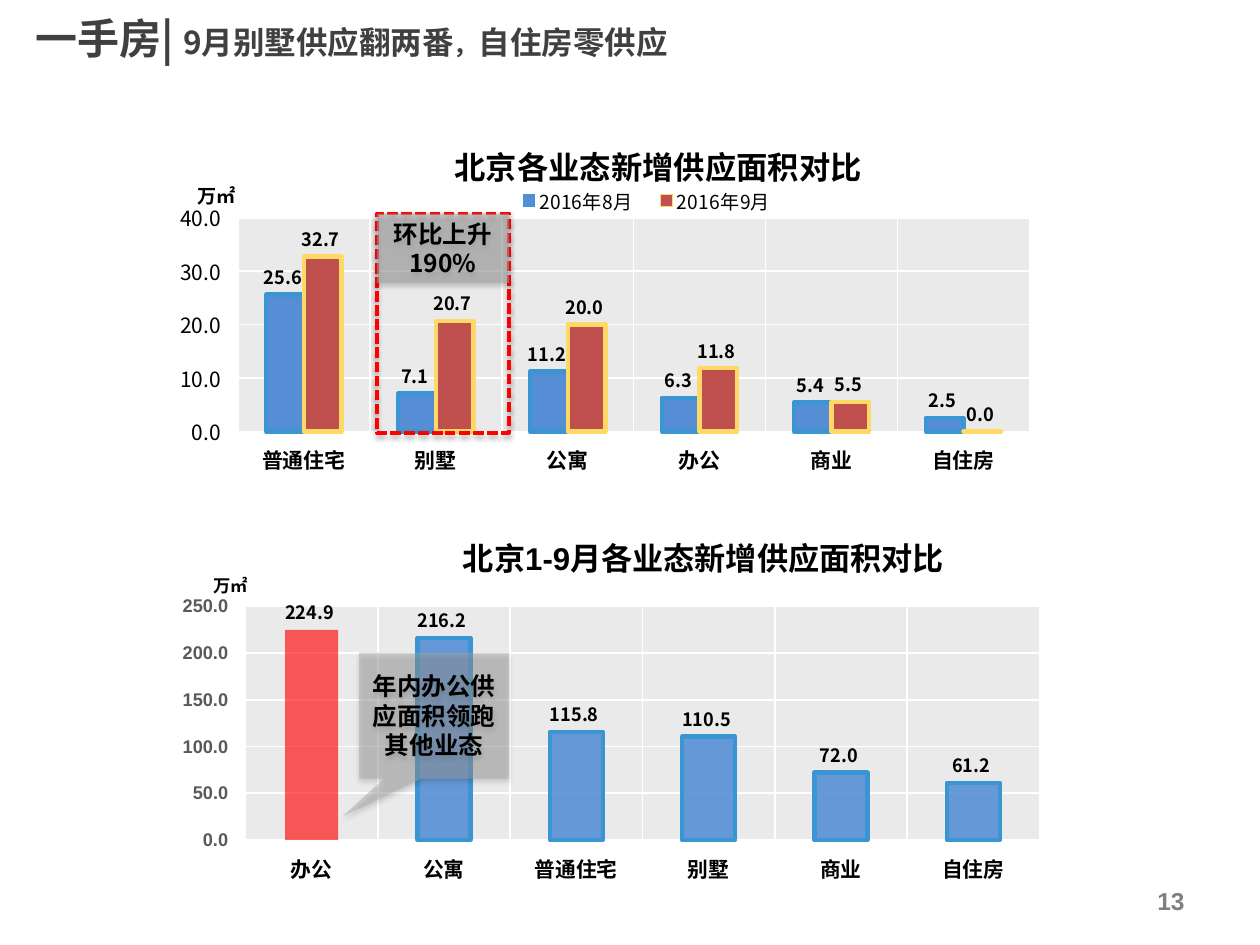
from lxml import etree
from pptx import Presentation
from pptx.chart.data import CategoryChartData
from pptx.dml.color import RGBColor
from pptx.enum.chart import XL_CHART_TYPE, XL_LABEL_POSITION, XL_LEGEND_POSITION, XL_TICK_MARK
from pptx.enum.dml import MSO_LINE
from pptx.enum.shapes import MSO_SHAPE
from pptx.enum.text import MSO_ANCHOR, PP_ALIGN
from pptx.oxml.ns import qn
from pptx.util import Pt

COLUMNS = XL_CHART_TYPE.COLUMN_CLUSTERED
OUTSIDE_END = XL_LABEL_POSITION.OUTSIDE_END
LEGEND_BOTTOM = XL_LEGEND_POSITION.BOTTOM
TICK_OUT = XL_TICK_MARK.OUTSIDE
SHORT_DASH = MSO_LINE.SQUARE_DOT
RECTANGLE = MSO_SHAPE.RECTANGLE
CALLOUT = MSO_SHAPE.RECTANGULAR_CALLOUT
MIDDLE = MSO_ANCHOR.MIDDLE
LEFT, CENTER, RIGHT = PP_ALIGN.LEFT, PP_ALIGN.CENTER, PP_ALIGN.RIGHT
CJK, LATIN = "Noto Sans CJK SC", "Arial"
NUMBER_FORMAT = "0.0_ "


def color(hex_value):
    """Return the colour for a hex string."""
    return RGBColor.from_string(hex_value)


def style_font(font, size, hex_value, name=CJK, bold=True):
    """Set the look of a font."""
    font.size, font.bold, font.name = Pt(size), bold, name
    font.color.rgb = color(hex_value)


def add_east_asian_fonts(root):
    """Name the Chinese font beside each Latin one."""
    for latin in list(root.iter(qn("a:latin"))):
        east_asian = etree.Element(qn("a:ea"), typeface=CJK)
        latin.addnext(east_asian)


def add_run(paragraph, text, size, hex_value, name=CJK):
    """Add one bold run."""
    run = paragraph.add_run()
    run.text = text
    style_font(run.font, size, hex_value, name)


def set_fill(format_, hex_value):
    """Give a solid fill."""
    format_.fill.solid()
    format_.fill.fore_color.rgb = color(hex_value)


def set_line(line, hex_value, width):
    """Give a solid line."""
    line.color.rgb = color(hex_value)
    line.width = Pt(width)


def set_opacity(properties, percent):
    """Set the opacity of the solid fill in a set of shape properties."""
    fill_color = properties.find(qn("a:solidFill")).find(qn("a:srgbClr"))
    etree.SubElement(fill_color, qn("a:alpha"), val=str(percent * 1000))


def set_shadow(shape):
    """Give a soft shadow below the shape."""
    shape.shadow.inherit = False
    effects = shape.element.spPr.find(qn("a:effectLst"))
    shadow = etree.SubElement(effects, qn("a:outerShdw"), blurRad=str(Pt(3.1)),
                              dist=str(Pt(1.8)), dir="5400000", rotWithShape="0")
    shade = etree.SubElement(shadow, qn("a:srgbClr"), val="000000")
    etree.SubElement(shade, qn("a:alpha"), val="35000")


def set_layout(element, index, inner=False, **fractions):
    """Place a chart part by fractions of the chart."""
    for old in element.findall(qn("c:layout")):
        element.remove(old)
    layout = etree.Element(qn("c:layout"))
    element.insert(index, layout)
    manual = etree.SubElement(layout, qn("c:manualLayout"))
    if inner:
        etree.SubElement(manual, qn("c:layoutTarget"), val="inner")
    for key in ("x", "y"):
        etree.SubElement(manual, qn(f"c:{key}Mode"), val="edge")
    for key, value in fractions.items():
        etree.SubElement(manual, qn(f"c:{key}"), val=str(value))


def write_chart_title(title, text, size, name, x, y):
    """Write and place a chart or axis title."""
    add_run(title.text_frame.paragraphs[0], text, size, "000000", name)
    for body in title._element.iter(qn("a:bodyPr")):
        body.set("rot", "0")
        body.set("vert", "horz")
    set_layout(title._element, 1, x=x, y=y)


def style_axis(axis, size, hex_value, name, bold):
    """Set ticks, labels and gridlines of an axis."""
    axis.major_tick_mark = TICK_OUT
    axis.has_major_gridlines = True
    set_line(axis.major_gridlines.format.line, "FFFFFF", 1)
    style_font(axis.tick_labels.font, size, hex_value, name, bold)


def add_supply_chart(slide, box, categories, series, title, title_at, unit_size, unit_at,
                     plot, name, value_font, maximum, step):
    """Add a column chart of supply area; each series is name, values, fill, line."""
    data = CategoryChartData(number_format=NUMBER_FORMAT)
    data.categories = categories
    for label, values, _, _ in series:
        data.add_series(label, values)
    chart = slide.shapes.add_chart(COLUMNS, *map(Pt, box), data).chart
    style_font(chart.font, 10, "000000", name, False)
    chart.has_legend = False
    chart.has_title = True
    write_chart_title(chart.chart_title, title, 18, name, *title_at)

    category_axis, value_axis = chart.category_axis, chart.value_axis
    style_axis(category_axis, 12, "000000", name, True)
    set_line(category_axis.format.line, "FFFFFF", 0.75)
    style_axis(value_axis, *value_font)
    value_axis.format.line.fill.background()
    value_axis.minimum_scale, value_axis.maximum_scale = 0, maximum
    value_axis.major_unit = step
    value_axis.tick_labels.number_format = NUMBER_FORMAT
    value_axis.tick_labels.number_format_is_linked = False
    write_chart_title(value_axis.axis_title, "万㎡", unit_size, name, *unit_at)

    columns = chart.plots[0]
    columns.gap_width, columns.overlap, columns.vary_by_categories = 150, 0, False
    for column, (_, _, fill, outline) in zip(columns.series, series):
        column.invert_if_negative = False
        set_fill(column.format, fill)
        set_line(column.format.line, outline, 2.5)
        labels = column.data_labels
        labels.show_value, labels.position = True, OUTSIDE_END
        labels.number_format, labels.number_format_is_linked = NUMBER_FORMAT, False
        style_font(labels.font, 10.5, "000000")

    plot_area = chart.element.find(qn("c:chart")).find(qn("c:plotArea"))
    set_layout(plot_area, 0, True, **dict(zip("xywh", plot)))
    background = etree.SubElement(plot_area, qn("c:spPr"))
    fill = etree.SubElement(background, qn("a:solidFill"))
    etree.SubElement(fill, qn("a:srgbClr"), val="EAEAEA")
    return chart


def add_note(slide, kind, box, text, opacity):
    """Add a translucent grey note with a shadow."""
    note = slide.shapes.add_shape(kind, *map(Pt, box))
    set_fill(note, "A6A6A6")
    set_opacity(note.element.spPr, opacity)
    note.line.fill.background()
    set_shadow(note)
    frame = note.text_frame
    frame.word_wrap, frame.vertical_anchor = True, MIDDLE
    frame.paragraphs[0].alignment = CENTER
    add_run(frame.paragraphs[0], text, 14, "000000")
    add_east_asian_fonts(note.element)
    return note


def add_monthly_region(slide, left, top, width, height):
    """Compare August and September supply."""
    chart = add_supply_chart(
        slide, (left, top, width, height),
        ["普通住宅", "别墅", "公寓", "办公", "商业", "自住房"],
        [("2016年8月", [25.6, 7.1, 11.2, 6.3, 5.4, 2.5], "558ED5", "3B95D2"),
         ("2016年9月", [32.7, 20.7, 20, 11.8, 5.5, 0], "C0504D", "FFD966")],
        "北京各业态新增供应面积对比", (0.3, 0.04), 11, (0.01, 0.15),
        (0.06, 0.26, 0.9, 0.56), CJK, (12, "000000", CJK, False), 40, 10)
    chart.has_legend = True
    legend = chart.legend
    legend.position, legend.include_in_layout = LEGEND_BOTTOM, False
    style_font(legend.font, 11, "000000", CJK, False)
    set_layout(legend._element, 1, x=0.36, y=0.17, w=0.33, h=0.09)
    add_east_asian_fonts(chart.element)

    villa_left, villa_top, villa_width = left + 112.3, top + 54.4, 75.6
    highlight = slide.shapes.add_shape(
        RECTANGLE, *map(Pt, (villa_left, villa_top, villa_width, 125.3)))
    highlight.fill.background()
    set_line(highlight.line, "FF0000", 2)
    highlight.line.dash_style = SHORT_DASH
    set_shadow(highlight)
    add_note(slide, RECTANGLE, (villa_left, villa_top, villa_width, 39.6), "环比上升 190%", 55)


def add_year_region(slide, left, top, width, height):
    """Rank the supply from January to September."""
    chart = add_supply_chart(
        slide, (left, top, width, height),
        ["办公", "公寓", "普通住宅", "别墅", "商业", "自住房"],
        [("Series 1", [224.9, 216.2, 115.8, 110.5, 72, 61.2], "558ED5", "3B95D2")],
        "北京1-9月各业态新增供应面积对比", (0.3, 0.05), 10, (0.02, 0.16),
        (0.06, 0.26, 0.9, 0.6), LATIN, (10.5, "595959", LATIN, True), 250, 50)
    supply = chart.plots[0].series[0]
    set_opacity(supply._element.find(qn("c:spPr")), 89)
    office = supply.points[0].format
    set_fill(office, "FF0000")
    office.line.fill.background()
    set_opacity(supply._element.find(qn("c:dPt")).find(qn("c:spPr")), 63)
    add_east_asian_fonts(chart.element)

    callout = add_note(slide, CALLOUT, (left + 100.8, top + 84.2, 85.7, 72),
                       "年内办公供应面积领跑其他业态", 44)
    callout.adjustments[0], callout.adjustments[1] = -0.61, 0.8


def add_heading(slide, *box):
    """Write the slide title in its placeholder."""
    title = slide.shapes.title
    title.left, title.top, title.width, title.height = map(Pt, box)
    frame = title.text_frame
    frame.word_wrap, frame.vertical_anchor = True, MIDDLE
    frame.paragraphs[0].alignment = LEFT
    for text, size in (("一手房| ", 24), ("9月别墅供应翻两番", 18), ("，", 14), ("自住房零供应", 18)):
        add_run(frame.paragraphs[0], text, size, "404040")
    add_east_asian_fonts(title.element)


def add_page_number(slide, *box):
    """Write the page number."""
    frame = slide.shapes.add_textbox(*map(Pt, box)).text_frame
    frame.word_wrap, frame.vertical_anchor = True, MIDDLE
    frame.paragraphs[0].alignment = RIGHT
    add_run(frame.paragraphs[0], "13", 14, "7F7F7F", LATIN)


def main():
    """Build and save the slide."""
    deck = Presentation()
    deck.slide_width, deck.slide_height = Pt(720), Pt(540)
    slide = deck.slides.add_slide(deck.slide_layouts[5])
    add_page_number(slide, 516.2, 500.4, 167.8, 28.8)
    add_heading(slide, 13, 2.9, 478, 37.4)
    add_monthly_region(slide, 103, 67.7, 505.4, 218.2)
    add_year_region(slide, 104.4, 288.7, 509.8, 222.5)
    deck.save("out.pptx")


if __name__ == "__main__":
    main()
